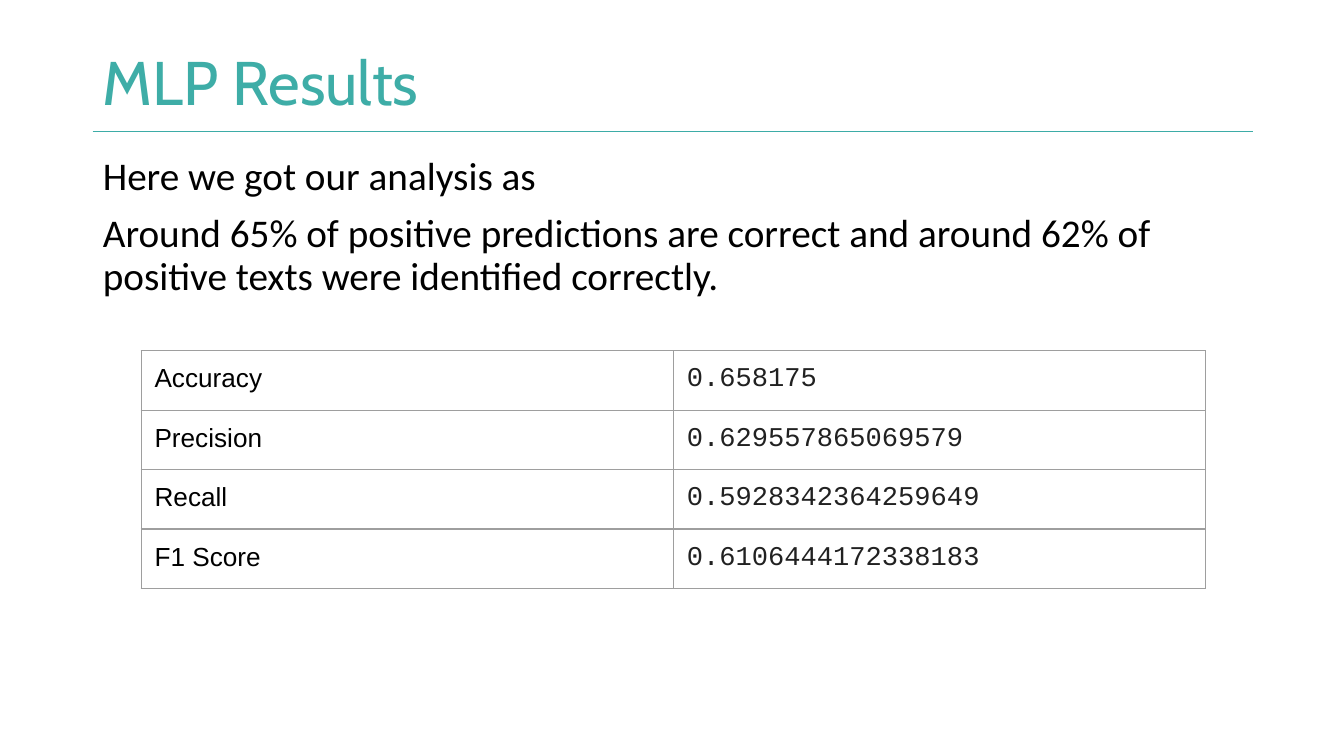
"""Build the MLP results slide with its table of scores."""
from lxml.etree import SubElement
from pptx import Presentation
from pptx.dml.color import RGBColor
from pptx.enum.shapes import MSO_CONNECTOR
from pptx.enum.text import MSO_ANCHOR
from pptx.oxml.ns import qn
from pptx.util import Inches, Pt

TITLE = "MLP Results"
BODY = [
    "Here we got our analysis as",
    "Around 65% of positive predictions are correct and around 62% of "
    "positive texts were identified correctly.",
]
SCORES = [
    ("Accuracy", "0.658175"),
    ("Precision", "0.629557865069579"),
    ("Recall", "0.5928342364259649"),
    ("F1 Score", "0.6106444172338183"),
]

TEAL = RGBColor(0x3E, 0xAD, 0xA7)
RULE_TEAL = RGBColor(0x3D, 0xAC, 0xA7)
BLACK = RGBColor(0x00, 0x00, 0x00)
CHARCOAL = RGBColor(0x21, 0x21, 0x21)
BORDER_GRAY = RGBColor(0x9E, 0x9E, 0x9E)

COLUMN_STYLES = [("Arial", 14, BLACK), ("Courier New", 14.5, CHARCOAL)]
COLUMN_WIDTH, ROW_HEIGHT, CELL_MARGIN = 3.96, 0.42, 0.1


def style_paragraph(para, font_name, size, color):
    for span in para.runs:
        span.font.name = font_name
        span.font.size = Pt(size)
        span.font.color.rgb = color


def add_text(page, bounds, lines, style, anchor, space_before=0):
    box = page.shapes.add_textbox(*map(Inches, bounds))
    frame = box.text_frame
    frame.word_wrap = True
    frame.vertical_anchor = anchor
    frame.margin_left = frame.margin_right = Pt(5.4)
    frame.margin_top = frame.margin_bottom = Pt(2.7)
    frame.text = "\n".join(lines)
    for para in frame.paragraphs:
        para.line_spacing = 0.9
        para.space_before = Pt(space_before)
        style_paragraph(para, *style)


def add_rule(page):
    rule = page.shapes.add_connector(
        MSO_CONNECTOR.STRAIGHT, Inches(0.69), Inches(0.98), Inches(9.32), Inches(0.98)
    )
    rule.line.color.rgb = RULE_TEAL
    rule.line.width = Pt(0.75)
    SubElement(rule._element.spPr, qn("a:effectLst"))


def add_borders(cell):
    properties = cell._tc.get_or_add_tcPr()
    for position, side in enumerate(("a:lnL", "a:lnR", "a:lnT", "a:lnB")):
        line = properties.makeelement(qn(side), {"w": str(Pt(0.75))})
        fill = SubElement(line, qn("a:solidFill"))
        SubElement(fill, qn("a:srgbClr"), val=str(BORDER_GRAY))
        properties.insert(position, line)


def add_scores(page):
    row_count, column_count = len(SCORES), len(COLUMN_STYLES)
    table = page.shapes.add_table(
        row_count, column_count, Inches(1.05), Inches(2.61),
        Inches(COLUMN_WIDTH * column_count), Inches(ROW_HEIGHT * row_count),
    ).table
    table.first_row = table.horz_banding = False
    for column in table.columns:
        column.width = Inches(COLUMN_WIDTH)
    for row, values in zip(table.rows, SCORES):
        row.height = Inches(ROW_HEIGHT)
        for cell, value, style in zip(row.cells, values, COLUMN_STYLES):
            cell.text_frame.text = value
            cell.margin_left = cell.margin_right = Inches(CELL_MARGIN)
            cell.margin_top = cell.margin_bottom = Inches(CELL_MARGIN)
            cell.fill.background()
            add_borders(cell)
            style_paragraph(cell.text_frame.paragraphs[0], *style)


def main():
    deck = Presentation()
    deck.slide_width = Inches(10)
    deck.slide_height = deck.slide_width * 9 // 16
    page = deck.slides.add_slide(deck.slide_layouts[6])
    add_rule(page)
    add_text(page, (0.69, 0.3, 7.75, 0.68), [TITLE], ("Cabin", 33, TEAL), MSO_ANCHOR.MIDDLE)
    add_text(page, (0.69, 1.13, 8.62, 3.94), BODY, ("Calibri", 21, BLACK), MSO_ANCHOR.TOP, 8)
    add_scores(page)
    deck.save("out.pptx")


if __name__ == "__main__":
    main()
